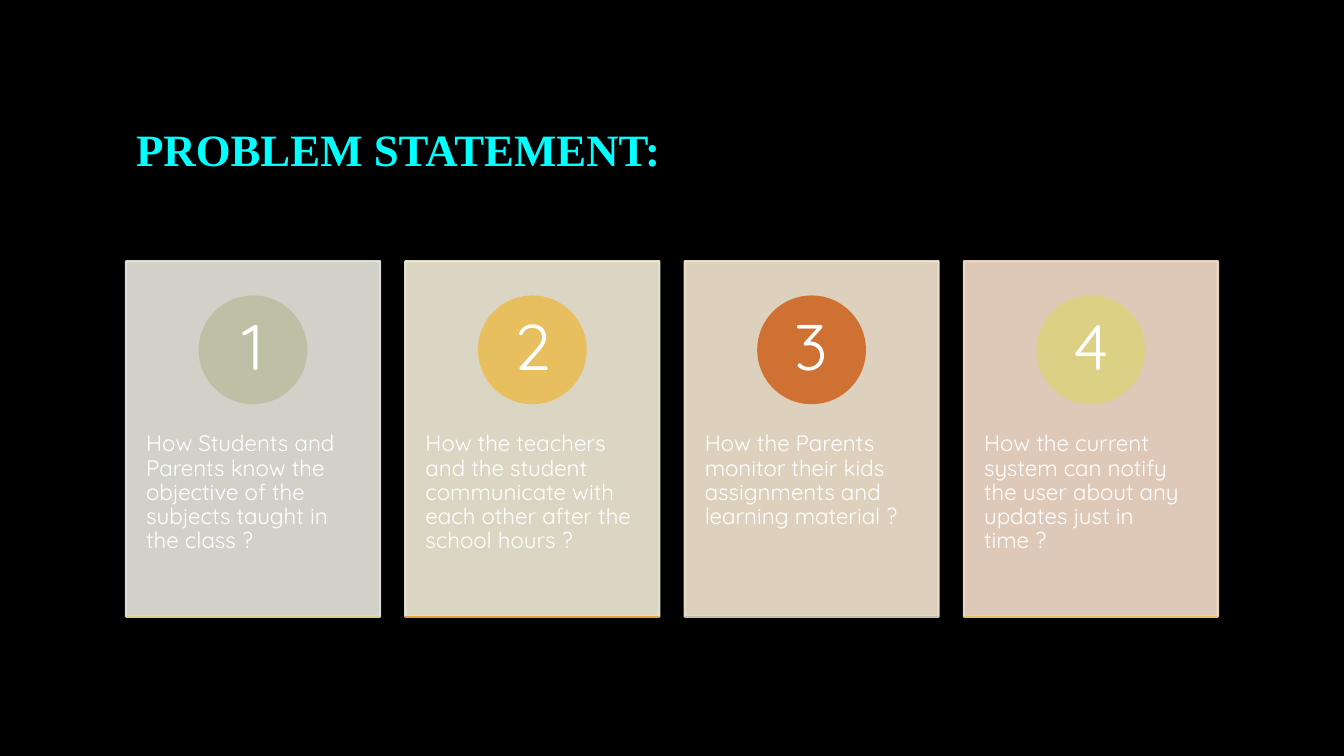
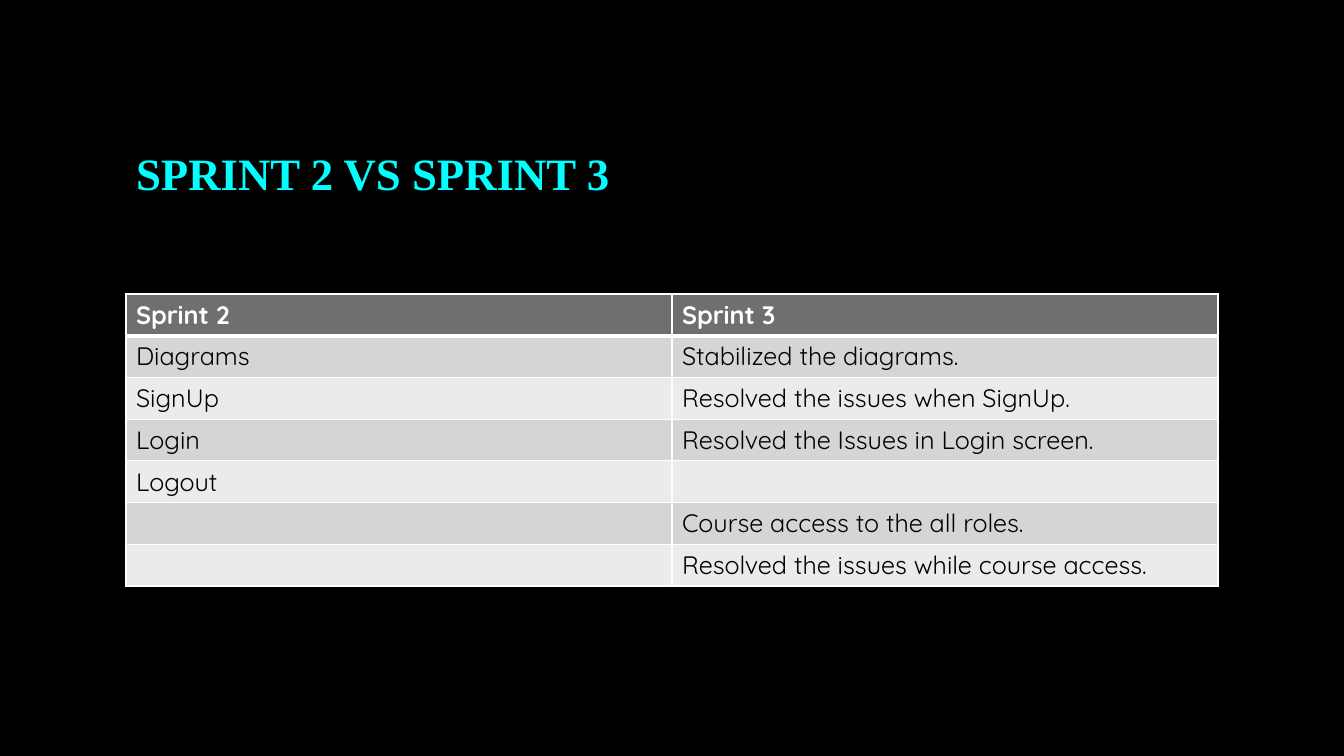
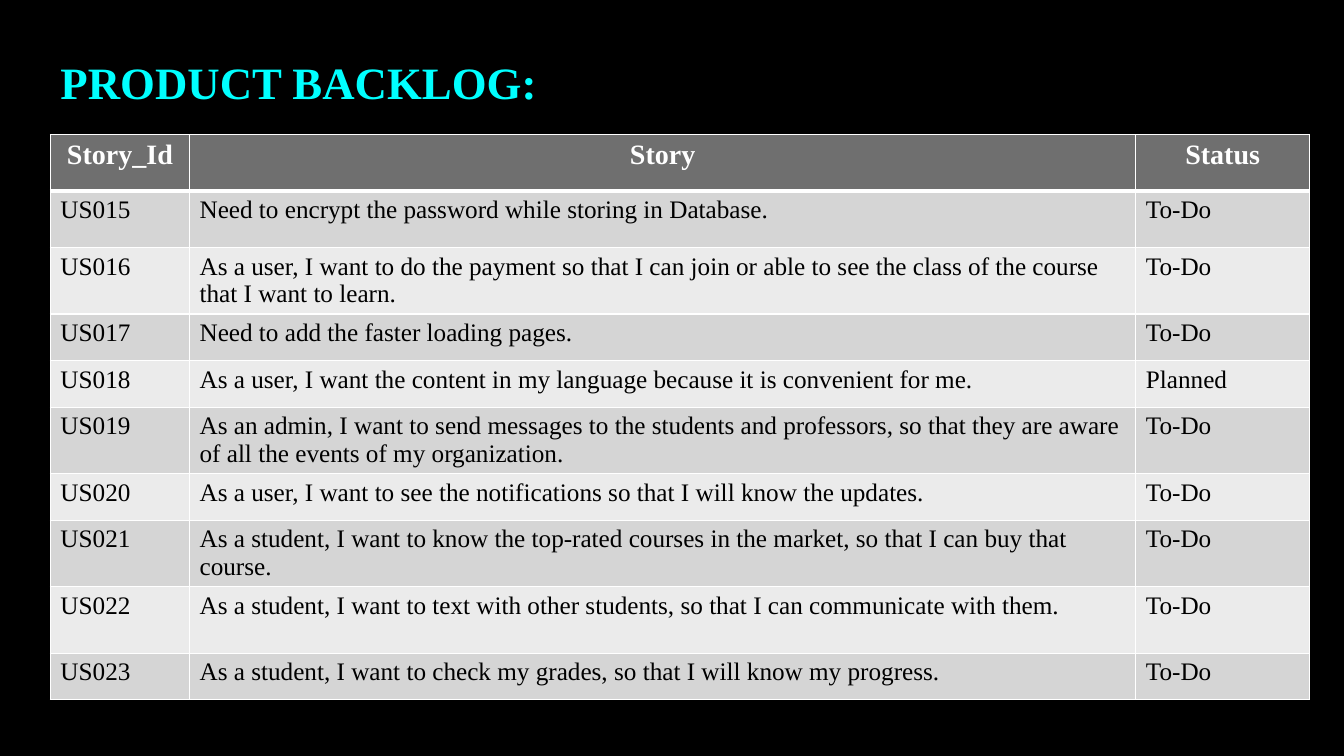
from lxml.etree import SubElement
from pptx import Presentation
from pptx.dml.color import RGBColor
from pptx.enum.shapes import MSO_CONNECTOR, MSO_SHAPE
from pptx.enum.text import MSO_ANCHOR, MSO_AUTO_SIZE, PP_ALIGN
from pptx.oxml.ns import qn
from pptx.util import Pt

COLORS = {
    "background": "000000", "title": "00FFFF", "white": "FFFFFF", "black": "000000",
    "header": "6F6F6F", "odd row": "D5D5D5", "even row": "EBEBEB",
    "sage": "BFBFA5", "gold": "E7BF5F", "rust": "CF7133", "lime": "DCD084", "orange": "E9A039",
    "pale sage": "E8E8E1", "pale gold": "F2EED9", "pale tan": "F6E8D2", "pale rust": "F7DFCE",
}
RGB = {name: RGBColor.from_string(value) for name, value in COLORS.items()}
SERIF, SANS = "Times New Roman", "Quicksand"
LEFT, WIDTH = 90, 780

deck = Presentation()
deck.slide_width, deck.slide_height = Pt(960), Pt(540)
background = deck.slide_master.background.fill
background.solid()
background.fore_color.rgb = RGB["background"]


def add_page(title, left, top, width, height):
    page = deck.slides.add_slide(deck.slide_layouts[5])
    box = page.shapes.title
    box.left, box.top, box.width, box.height = Pt(left), Pt(top), Pt(width), Pt(height)
    frame = box.text_frame
    frame.auto_size = MSO_AUTO_SIZE.NONE
    frame.vertical_anchor = MSO_ANCHOR.MIDDLE
    para = frame.paragraphs[0]
    para.alignment = PP_ALIGN.LEFT
    span = para.add_run()
    span.text = title
    span.font.name, span.font.size, span.font.bold = SERIF, Pt(32), True
    span.font.color.rgb = RGB["title"]
    return page


def add_grid(page, left, top, widths, heights, rows, font, header_size, header_align):
    grid = page.shapes.add_table(len(rows), len(widths), Pt(left), Pt(top),
                                 Pt(sum(widths)), Pt(sum(heights))).table
    for column, width in zip(grid.columns, widths):
        column.width = Pt(width)
    for r, (texts, height) in enumerate(zip(rows, heights)):
        grid.rows[r].height = Pt(height)
        is_header = r == 0
        fill = "header" if is_header else "odd row" if r % 2 else "even row"
        borders = {"a:lnL": 1, "a:lnR": 1, "a:lnT": 3 if r == 1 else 1, "a:lnB": 3 if is_header else 1}
        for c, text in enumerate(texts):
            cell = grid.cell(r, c)
            # Borders come before the fill in the cell properties
            properties = cell._tc.get_or_add_tcPr()
            for tag, weight in borders.items():
                line = SubElement(properties, qn(tag), w=str(Pt(weight)))
                SubElement(SubElement(line, qn("a:solidFill")), qn("a:srgbClr"), val=COLORS["white"])
            cell.fill.solid()
            cell.fill.fore_color.rgb = RGB[fill]
            if not text:
                continue
            para = cell.text_frame.paragraphs[0]
            para.alignment = header_align if is_header else PP_ALIGN.LEFT
            span = para.add_run()
            span.text = text
            span.font.name, span.font.bold = font, is_header
            span.font.size = Pt(header_size if is_header else 18)
            span.font.color.rgb = RGB["white" if is_header else "black"]


# Problem statement: four numbered cards
page = add_page("PROBLEM STATEMENT:", LEFT, 48, WIDTH, 116)
cards = [
    ("How Students and Parents know the objective of the subjects taught in the class ?",
     "pale sage", "sage", "lime"),
    ("How the teachers and the student communicate with each other after the school hours ?",
     "pale gold", "gold", "orange"),
    ("How the Parents monitor their kids assignments and learning material ?",
     "pale tan", "rust", "sage"),
    ("How the current system can notify the user about any updates just in time ?",
     "pale rust", "lime", "gold"),
]
GAP, CARD_TOP, CARD_HEIGHT = 18, 186.5, 254
CARD_WIDTH = (WIDTH - GAP * (len(cards) - 1)) / len(cards)
CIRCLE, CIRCLE_TOP, NUMBER = 76.2, 211.8, 54

for index, (question, card_color, circle_color, base_color) in enumerate(cards):
    left = LEFT + index * (CARD_WIDTH + GAP)
    center = left + CARD_WIDTH / 2

    # Card and circle
    for kind, x, y, width, height, color, alpha in (
        (MSO_SHAPE.RECTANGLE, left, CARD_TOP, CARD_WIDTH, CARD_HEIGHT, card_color, 90),
        (MSO_SHAPE.OVAL, center - CIRCLE / 2, CIRCLE_TOP, CIRCLE, CIRCLE, circle_color, 100),
    ):
        shape = page.shapes.add_shape(kind, Pt(x), Pt(y), Pt(width), Pt(height))
        shape.shadow.inherit = False
        shape.fill.solid()
        shape.fill.fore_color.rgb = RGB[color]
        shape.line.color.rgb = RGB[color]
        shape.line.width = Pt(1.5)
        if alpha < 100:
            for tint in shape._element.spPr.iter(qn("a:srgbClr")):
                SubElement(tint, qn("a:alpha"), val=str(alpha * 1000))

    # Question and number
    for text, x, y, width, height, size, insets, align, anchor in (
        (question, left, 283, CARD_WIDTH, 152.5, 16, (14.4, 26), PP_ALIGN.LEFT, MSO_ANCHOR.TOP),
        (str(index + 1), center - NUMBER / 2, CIRCLE_TOP + (CIRCLE - NUMBER) / 2, NUMBER, NUMBER,
         46, (6, 0.8), PP_ALIGN.CENTER, MSO_ANCHOR.MIDDLE),
    ):
        box = page.shapes.add_textbox(Pt(x), Pt(y), Pt(width), Pt(height))
        frame = box.text_frame
        frame.word_wrap = True
        frame.vertical_anchor = anchor
        frame.margin_left = frame.margin_right = Pt(insets[0])
        frame.margin_top = frame.margin_bottom = Pt(insets[1])
        para = frame.paragraphs[0]
        para.alignment, para.line_spacing = align, 0.9
        span = para.add_run()
        span.text = text
        span.font.name, span.font.size = SANS, Pt(size)
        span.font.color.rgb = RGB["white"]

    # Coloured base line
    base = CARD_TOP + CARD_HEIGHT
    line = page.shapes.add_connector(MSO_CONNECTOR.STRAIGHT, Pt(left), Pt(base),
                                     Pt(left + CARD_WIDTH), Pt(base))
    line.line.color.rgb = RGB[base_color]
    line.line.width = Pt(1.5)
    SubElement(line._element.spPr, qn("a:effectLst"))

# Sprint comparison
page = add_page("SPRINT 2 VS SPRINT 3", LEFT, 48, WIDTH, 150)
sprints = [
    ("Sprint 2", "Sprint 3"),
    ("Diagrams", "Stabilized the diagrams."),
    ("SignUp", "Resolved the issues when SignUp."),
    ("Login", "Resolved the Issues in Login screen."),
    ("Logout", ""),
    ("", "Course access to the all roles."),
    ("", "Resolved the issues while course access."),
]
add_grid(page, LEFT, 210, [WIDTH / 2] * 2, [29.8] * len(sprints), sprints, SANS, 18, PP_ALIGN.LEFT)

# Product backlog
page = add_page("PRODUCT BACKLOG:", 36, 20, 390, 76)
SHORT, MIDDLE, TALL = 33.3, 40.3, 47.5
stories = [
    (MIDDLE, "Need to encrypt the password while storing in Database.", "To-Do"),
    (TALL, "As a user, I want to do the payment so that I can join or able to see the class of the course "
           "that I want to learn.", "To-Do"),
    (SHORT, "Need to add the faster loading pages.", "To-Do"),
    (SHORT, "As a user, I want the content in my language because it is convenient for me.", "Planned"),
    (TALL, "As an admin, I want to send messages to the students and professors, so that they are aware "
           "of all the events of my organization.", "To-Do"),
    (SHORT, "As a user, I want to see the notifications so that I will know the updates.", "To-Do"),
    (TALL, "As a student, I want to know the top-rated courses in the market, so that I can buy that "
           "course.", "To-Do"),
    (TALL, "As a student, I want to text with other students, so that I can communicate with them.", "To-Do"),
    (SHORT, "As a student, I want to check my grades, so that I will know my progress.", "To-Do"),
]
backlog = [("Story_Id", "Story", "Status")]
backlog += [(f"US{number:03}", story, status) for number, (_, story, status) in enumerate(stories, 15)]
heights = [MIDDLE] + [height for height, _, _ in stories]
add_grid(page, 36, 96.2, [99.4, 676, 124], heights, backlog, SERIF, 20, PP_ALIGN.CENTER)

deck.save("out.pptx")
